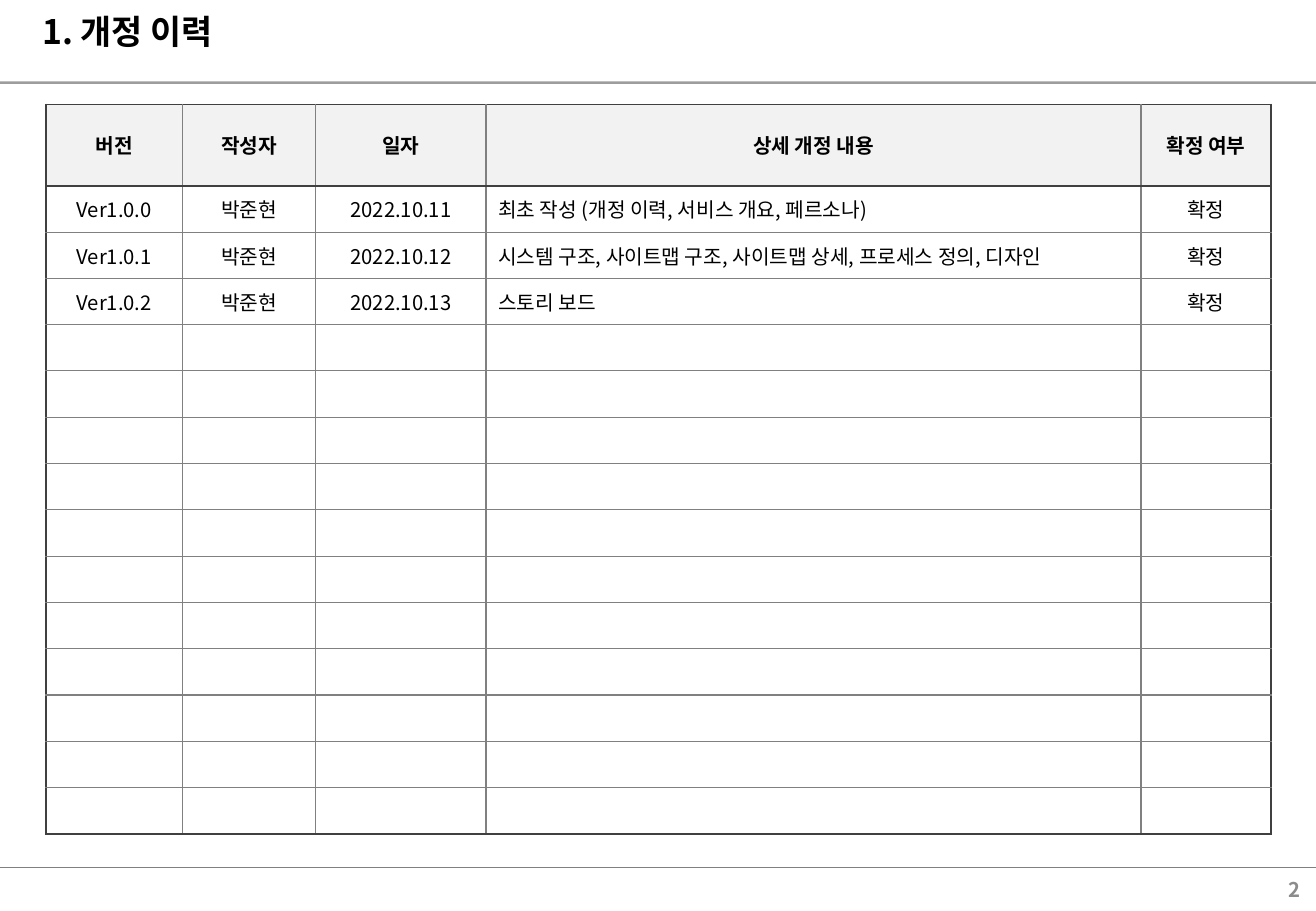
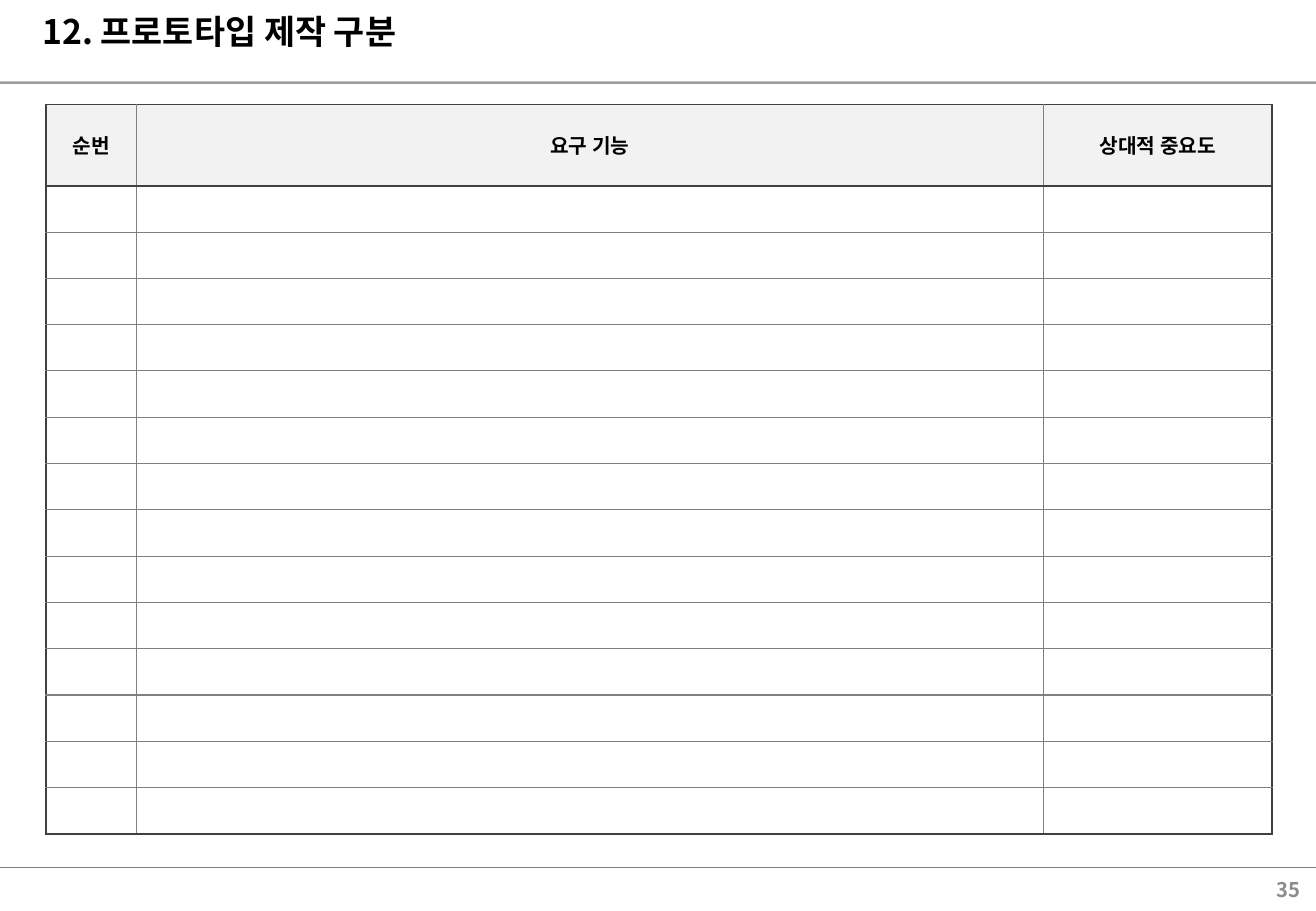
from dataclasses import dataclass

from lxml import etree
from pptx import Presentation
from pptx.dml.color import RGBColor
from pptx.enum.shapes import MSO_CONNECTOR
from pptx.enum.text import MSO_ANCHOR, PP_ALIGN
from pptx.oxml.ns import qn
from pptx.util import Inches, Pt

STRAIGHT = MSO_CONNECTOR.STRAIGHT
TOP, MIDDLE = MSO_ANCHOR.TOP, MSO_ANCHOR.MIDDLE
LEFT, CENTER, RIGHT = PP_ALIGN.LEFT, PP_ALIGN.CENTER, PP_ALIGN.RIGHT

FONT = "Noto Sans CJK KR"
COLORS = {
    "text": "000000",
    "rule": "808080",
    "frame": "404040",
    "header": "F2F2F2",
    "page": "8C8C8C",
}
SLIDE_W, SLIDE_H = 10.83, 7.5
TABLE_LEFT, TABLE_TOP, TABLE_H = 0.38, 0.86, 6.01
HEADER_H = 0.67
BODY_ROWS = 14


@dataclass
class Column:
    title: str
    width: float
    align: PP_ALIGN = CENTER


@dataclass
class Page:
    title: str
    number: str
    columns: list[Column]
    rows: list[tuple[str, ...]]


PAGES = [
    Page(
        "1. 개정 이력",
        "2",
        [
            Column("버전", 1.12),
            Column("작성자", 1.1),
            Column("일자", 1.4),
            Column("상세 개정 내용", 5.39, LEFT),
            Column("확정 여부", 1.07),
        ],
        [
            ("Ver1.0.0", "박준현", "2022.10.11",
             "최초 작성 (개정 이력, 서비스 개요, 페르소나)", "확정"),
            ("Ver1.0.1", "박준현", "2022.10.12",
             "시스템 구조, 사이트맵 구조, 사이트맵 상세, 프로세스 정의, 디자인", "확정"),
            ("Ver1.0.2", "박준현", "2022.10.13", "스토리 보드", "확정"),
        ],
    ),
    Page(
        "12. 프로토타입 제작 구분",
        "35",
        [Column("순번", 0.74), Column("요구 기능", 7.47), Column("상대적 중요도", 1.88)],
        [],
    ),
]


def format_text(p, size: float, color: str, bold: bool, align: PP_ALIGN) -> None:
    p.alignment = align
    for r in p.runs:
        r.font.size = Pt(size)
        r.font.bold = bold
        r.font.color.rgb = RGBColor.from_string(COLORS[color])
        r.font.name = FONT
        ea = etree.SubElement(r.font._element, qn("a:ea"))
        ea.set("typeface", FONT)


def add_text(slide, text: str, box: tuple[float, float, float, float], size: float,
             color: str, align: PP_ALIGN, anchor: MSO_ANCHOR) -> None:
    tf = slide.shapes.add_textbox(*map(Inches, box)).text_frame
    tf.word_wrap = True
    tf.vertical_anchor = anchor
    tf.margin_top = tf.margin_bottom = 0
    tf.text = text
    format_text(tf.paragraphs[0], size, color, True, align)


def add_rule(slide, y: float, width: float, opacity: int = 100) -> None:
    line = slide.shapes.add_connector(
        STRAIGHT, 0, Inches(y), Inches(SLIDE_W), Inches(y))
    line.line.color.rgb = RGBColor.from_string(COLORS["rule"])
    line.line.width = Pt(width)
    sp_pr = line._element.spPr
    if opacity < 100:
        alpha = etree.SubElement(sp_pr.find(".//" + qn("a:srgbClr")), qn("a:alpha"))
        alpha.set("val", str(opacity * 1000))
    etree.SubElement(sp_pr, qn("a:effectLst"))


def set_border(cell, side: str, outer: bool) -> None:
    tc_pr = cell._tc.get_or_add_tcPr()
    ln = etree.SubElement(tc_pr, qn(f"a:ln{side}"))
    ln.set("w", str(Pt(1 if outer else 0.75)))
    fill = etree.SubElement(ln, qn("a:solidFill"))
    color = etree.SubElement(fill, qn("a:srgbClr"))
    color.set("val", COLORS["frame" if outer else "rule"])


def add_grid(slide, page: Page) -> None:
    n_cols = len(page.columns)
    width = sum(c.width for c in page.columns)
    table = slide.shapes.add_table(
        BODY_ROWS + 1, n_cols, Inches(TABLE_LEFT), Inches(TABLE_TOP),
        Inches(width), Inches(TABLE_H)).table
    table.horz_banding = False
    texts = [tuple(c.title for c in page.columns), *page.rows]
    texts += [("",) * n_cols] * (BODY_ROWS + 1 - len(texts))

    for j, column in enumerate(page.columns):
        table.columns[j].width = Inches(column.width)
    for i, row in enumerate(texts):
        header = i == 0
        table.rows[i].height = Inches(
            HEADER_H if header else (TABLE_H - HEADER_H) / BODY_ROWS)
        for j, text in enumerate(row):
            cell = table.cell(i, j)
            # Dark frame around the table and below the header
            set_border(cell, "L", j == 0)
            set_border(cell, "R", j == n_cols - 1)
            set_border(cell, "T", i <= 1)
            set_border(cell, "B", i in (0, BODY_ROWS))
            if header:
                cell.fill.solid()
                cell.fill.fore_color.rgb = RGBColor.from_string(COLORS["header"])
            else:
                cell.fill.background()
            cell.vertical_anchor = MIDDLE
            p = cell.text_frame.paragraphs[0]
            if text:
                p.text = text
                align = CENTER if header else page.columns[j].align
                format_text(p, 12, "text", header, align)
            else:
                # Keeps an empty row from growing
                p._p.get_or_add_endParaRPr().set("sz", "1200")


def add_page(prs, page: Page) -> None:
    slide = prs.slides.add_slide(prs.slide_layouts[6])
    # Shared rules, title and page number
    add_rule(slide, 7.14, 0.75)
    add_rule(slide, 0.68, 1.5, 76)
    add_text(slide, page.title, (0.25, 0.09, 10.43, 0.49), 20, "text", LEFT, TOP)
    add_text(slide, page.number, (8.36, 7.17, 2.44, 0.31), 12, "page", RIGHT, MIDDLE)
    add_grid(slide, page)


def main() -> None:
    prs = Presentation()
    prs.slide_width, prs.slide_height = Inches(SLIDE_W), Inches(SLIDE_H)
    for page in PAGES:
        add_page(prs, page)
    prs.save("out.pptx")


if __name__ == "__main__":
    main()
